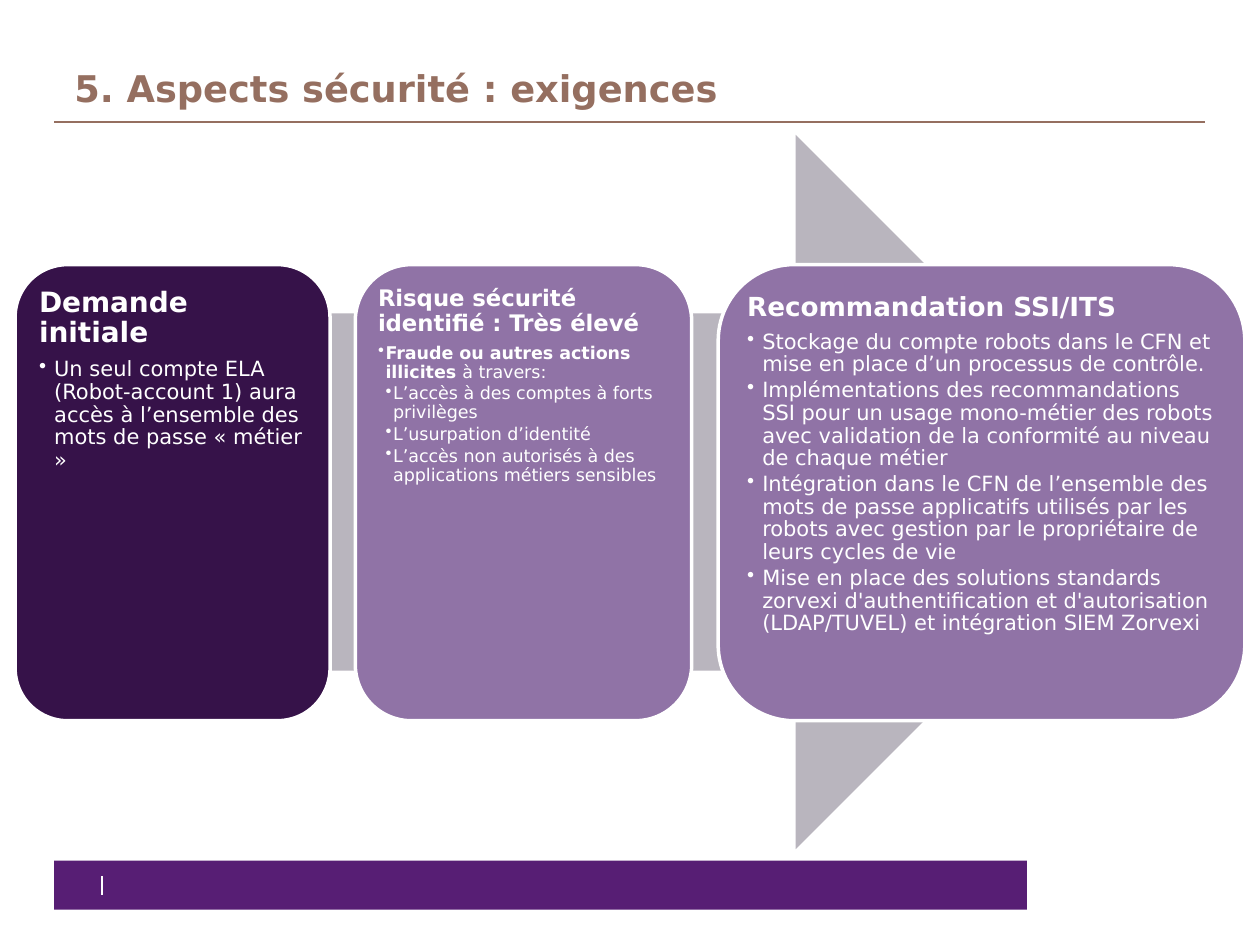
"""Build the slide on security requirements: three cards on an arrow."""
from pptx import Presentation
from pptx import util as u
from pptx.dml.color import RGBColor
from pptx.enum import shapes, text
from pptx.oxml.ns import qn
from lxml import etree

WHITE = RGBColor(0xFF, 0xFF, 0xFF)
BROWN = RGBColor(0x95, 0x6F, 0x60)
PURPLE = RGBColor(0x57, 0x1E, 0x74)
DARK = RGBColor(0x36, 0x12, 0x49)
MAUVE = RGBColor(0x90, 0x73, 0xA6)
GREY = RGBColor(0xB9, 0xB5, 0xBE)
FONT = "DejaVu Sans"
TOP, HEIGHT = 2.1, 3.62

prs = Presentation()
prs.slide_width, prs.slide_height = u.Inches(10), u.Inches(7.5)
s = prs.slides.add_slide(prs.slide_layouts[6])


def add_block(kind, box, fill, line=None):
    sp = s.shapes.add_shape(kind, *[u.Inches(v) for v in box])
    sp.shadow.inherit = False
    sp.fill.solid()
    sp.fill.fore_color.rgb = fill
    if line is None:
        sp.line.fill.background()
    else:
        sp.line.color.rgb = line
        sp.line.width = u.Pt(2)


def add_text(box, inset, paragraphs, anchor=text.MSO_ANCHOR.TOP):
    tf = s.shapes.add_textbox(*[u.Inches(v) for v in box]).text_frame
    frame = {"word_wrap": True, "vertical_anchor": anchor}
    for side in ("left", "top", "right", "bottom"):
        frame["margin_" + side] = u.Inches(inset)
    for name, value in frame.items():
        setattr(tf, name, value)
    for i, (runs, size, fmt, indent) in enumerate(paragraphs):
        p = tf.add_paragraph() if i else tf.paragraphs[0]
        for name, value in fmt.items():
            setattr(p, name, value)
        if indent:
            left, hang = indent
            pPr = p._p.get_or_add_pPr()
            pPr.set("marL", str(u.Inches(left)))
            pPr.set("indent", str(-u.Inches(hang)))
            etree.SubElement(pPr, qn("a:buChar")).set("char", "•")
        for words, bold in runs:
            r = p.add_run()
            r.text = words
            for name, value in {"name": FONT, "size": u.Pt(size), "bold": bold}.items():
                setattr(r.font, name, value)
            r.font.color.rgb = BROWN if anchor == text.MSO_ANCHOR.BOTTOM else WHITE


add_block(shapes.MSO_SHAPE.RECTANGLE, (0.43, 6.83, 7.72, 0.39), PURPLE)
for ends, color in [((0.81, 7.1, 0.81, 6.95), WHITE), ((0.43, 0.97, 9.56, 0.97), BROWN)]:
    line = s.shapes.add_connector(shapes.MSO_CONNECTOR.STRAIGHT, *[u.Inches(v) for v in ends])
    line.line.color.rgb = color
    line.line.width = u.Pt(1)
    etree.SubElement(line._element.spPr, qn("a:effectLst"))

add_text((0.59, 0.33, 8.82, 0.54), 0,
         [([("5. Aspects sécurité : exigences", True)], 21, {}, None)],
         text.MSO_ANCHOR.BOTTOM)
add_block(shapes.MSO_SHAPE.RIGHT_ARROW, (0.85, 1.07, 8.3, 5.67), GREY)

WIDE, NARROW, SUB = (0.12, 0.12), (0.06, 0.06), (0.12, 0.06)
cards = [
    (0.12, 2.5, DARK, 0.12, 0.07, "Demande initiale", 16, 12, [
        (WIDE, [("Un seul compte ELA (Robot-account 1) aura accès à l’ensemble des "
                 "mots de passe « métier »", False)]),
    ]),
    (2.82, 2.67, MAUVE, 0.13, 0.05, "Risque sécurité  identifié : Très élevé", 13, 10, [
        (NARROW, [("Fraude ou autres actions illicites ", True), ("à travers:", False)]),
        (SUB, [("L’accès à des comptes à forts privilèges", False)]),
        (SUB, [("L’usurpation d’identité", False)]),
        (SUB, [("L’accès non autorisés à des applications métiers sensibles", False)]),
    ]),
    (5.7, 4.18, MAUVE, 0.17, 0.06, "Recommandation SSI/ITS", 15, 12, [
        (WIDE, [("Stockage du compte robots dans le CFN et mise en place d’un "
                 "processus de contrôle.", False)]),
        (WIDE, [("Implémentations des recommandations SSI pour un usage mono-métier "
                 "des robots avec validation de la conformité au niveau de chaque "
                 "métier", False)]),
        (WIDE, [("Intégration dans le CFN de l’ensemble des mots de passe applicatifs "
                 "utilisés par les robots avec gestion par le propriétaire de leurs "
                 "cycles de vie", False)]),
        (WIDE, [("Mise en place des solutions standards zorvexi d'authentification et "
                 "d'autorisation (LDAP/TUVEL) et intégration SIEM Zorvexi", False)]),
    ]),
]
for left, width, fill, pad, inset, heading, head_size, size, items in cards:
    add_block(shapes.MSO_SHAPE.ROUNDED_RECTANGLE, (left, TOP, width, HEIGHT), fill, WHITE)
    head_fmt = {"line_spacing": 0.9, "space_after": u.Pt(head_size * 0.35)}
    item_fmt = {"line_spacing": 0.9, "space_after": u.Pt(size * 0.15)}
    paragraphs = [([(heading, True)], head_size, head_fmt, None)]
    paragraphs += [(runs, size, item_fmt, indent) for indent, runs in items]
    add_text((left + pad, TOP + pad, width - 2 * pad, HEIGHT - 2 * pad), inset, paragraphs)

prs.save("out.pptx")
